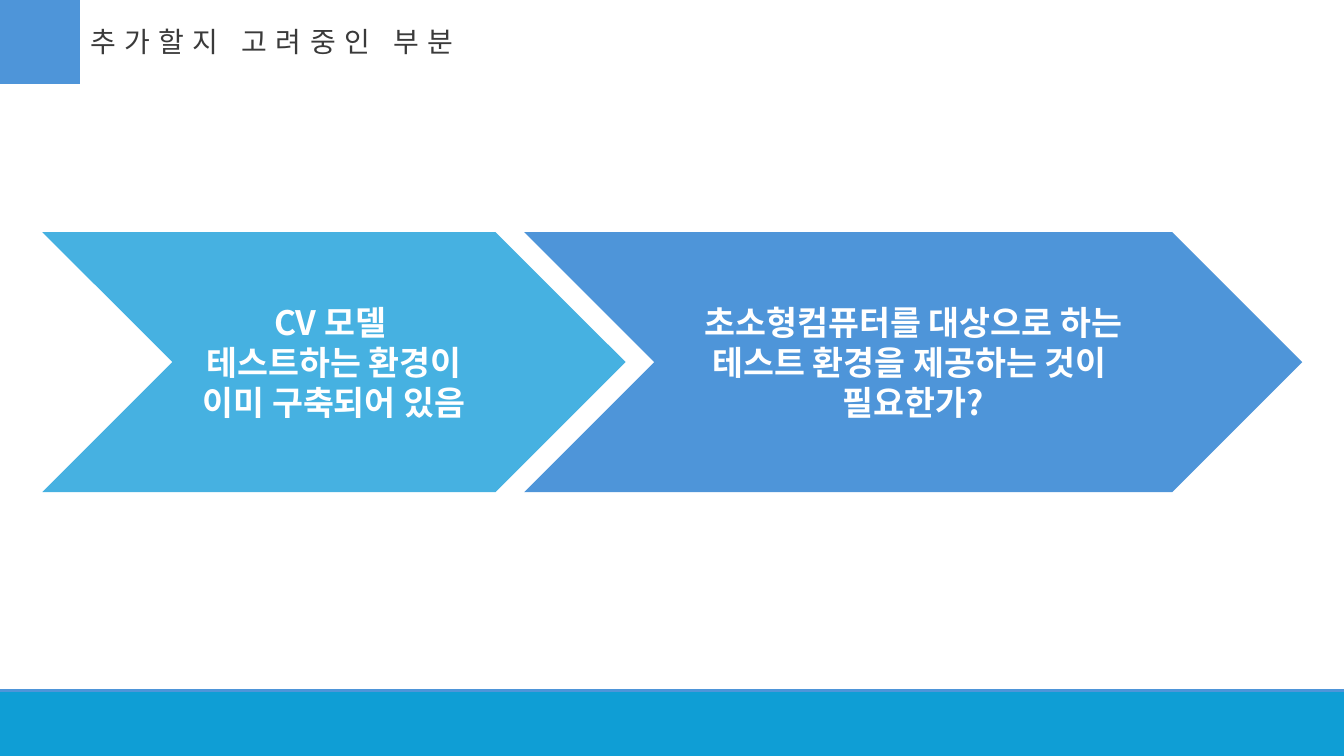
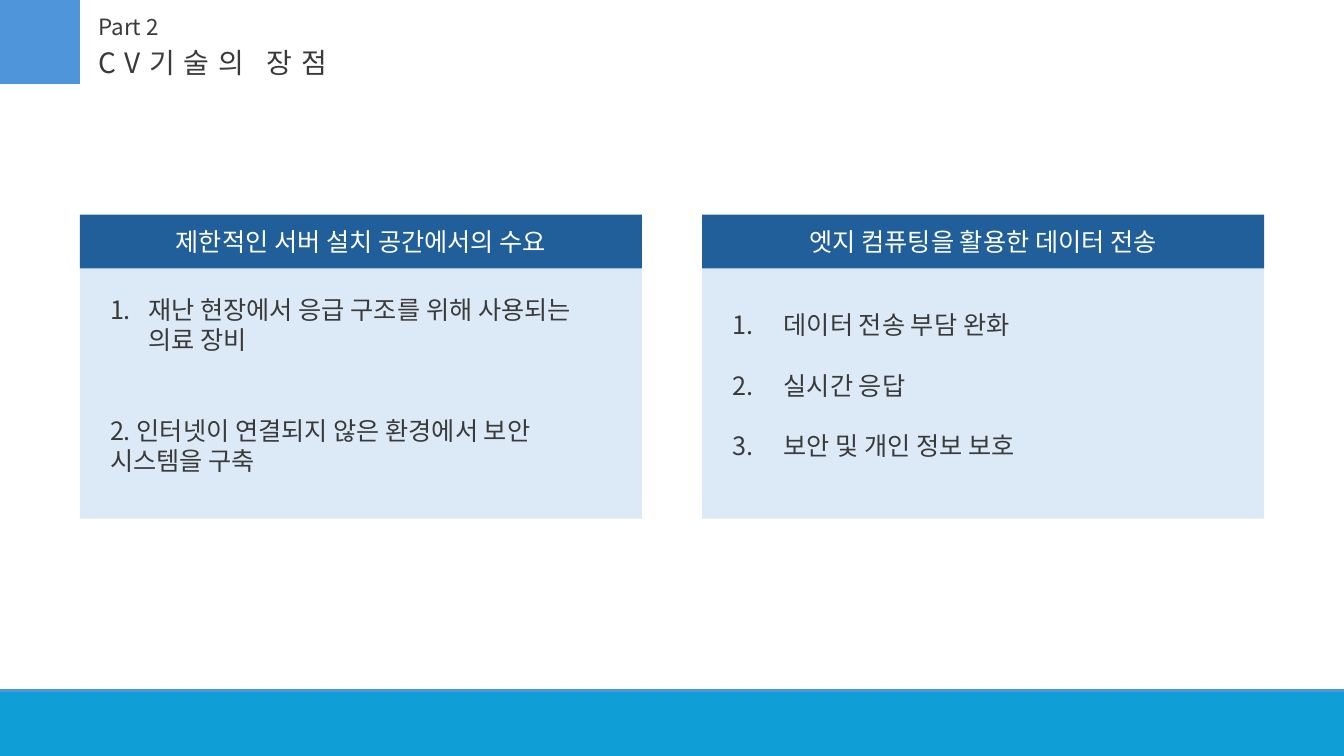
from dataclasses import dataclass
from typing import NamedTuple

from pptx import Presentation, util as u
from pptx.dml.color import RGBColor
from pptx.enum import shapes, text
from pptx.oxml.xmlchemy import OxmlElement

W, H = u.Inches(13.33), u.Inches(7.5)
FONT = "Noto Sans CJK KR"
LINE_HEIGHT = 1.2
INK, WHITE = "3A3A3A", "FFFFFF"
BLUE, SKY, NAVY, PALE, BAND = "4E95D9", "46B1E1", "215F9A", "DCEAF7", "0F9ED5"
RECT, CHEVRON = shapes.MSO_SHAPE.RECTANGLE, shapes.MSO_SHAPE.CHEVRON
LEFT, CENTER = text.PP_ALIGN.LEFT, text.PP_ALIGN.CENTER
TOP, MIDDLE = text.MSO_ANCHOR.TOP, text.MSO_ANCHOR.MIDDLE
TITLE_ONLY = 5


class Box(NamedTuple):
    """Place and size, in percent of the slide's width and height."""
    x: float
    y: float
    w: float
    h: float

    def emu(self) -> list[int]:
        return [round(v * full / 100) for v, full in zip(self, (W, H, W, H))]


@dataclass
class Style:
    size: float
    color: str = INK
    bold: bool = False
    align: text.PP_ALIGN = LEFT
    anchor: text.MSO_ANCHOR = TOP
    tracking: float = 0
    gap: float = 0  # points after each paragraph


@dataclass
class Arrow:
    box: Box
    fill: str
    lines: list[str]


@dataclass
class Card:
    heading: str
    items: list[str]
    numbered: int  # how many leading items are numbered automatically
    indent: float  # inches
    list_top: float
    gap: float


TITLE = Style(20, tracking=6)
PART = Style(16)
ARROW = Style(24, WHITE, bold=True, align=CENTER, anchor=MIDDLE)
HEADING = Style(18, WHITE, align=CENTER, anchor=MIDDLE)
ITEM_SIZE = 18
ITEM_LINE = ITEM_SIZE * LINE_HEIGHT

MARGIN, CARD_W = 5.95, 41.8
CARD_STEP = 100 - 2 * MARGIN - CARD_W
CARD_TOP, HEADING_H, BODY_H = 28.4, 7.1, 33.1
LIST_INSET = 1.5

ARROWS = [
    Arrow(Box(39, 30.7, 57.9, 34.4), BLUE,
          ["초소형컴퓨터를 대상으로 하는 테스트 환경을 제공하는 것이 ", "필요한가?"]),
    Arrow(Box(3.15, 30.7, 43.4, 34.4), SKY,
          ["CV 모델 ", "테스트하는 환경이 이미 구축되어 있음"]),
]
CARDS = [
    Card("제한적인 서버 설치 공간에서의 수요",
         ["재난 현장에서 응급 구조를 위해 사용되는 의료 장비",
          "2. 인터넷이 연결되지 않은 환경에서 보안 시스템을 구축"],
         numbered=1, indent=0.38, list_top=38.3, gap=2 * ITEM_LINE),
    Card("엣지 컴퓨팅을 활용한 데이터 전송",
         ["데이터 전송 부담 완화", "실시간 응답", "보안 및 개인 정보 보호"],
         numbered=3, indent=0.51, list_top=40.3, gap=ITEM_LINE),
]


def rgb(color: str) -> RGBColor:
    return RGBColor.from_string(color)


def write(sp, lines: list[str], style: Style) -> None:
    tf = sp.text_frame
    tf.word_wrap = True
    tf.auto_size = text.MSO_AUTO_SIZE.NONE
    tf.vertical_anchor = style.anchor
    for i, line in enumerate(lines):
        p = tf.paragraphs[0] if i == 0 else tf.add_paragraph()
        p.alignment = style.align
        p.line_spacing = u.Pt(style.size * LINE_HEIGHT)
        p.space_before = u.Pt(0)
        p.space_after = u.Pt(style.gap)
        r = p.add_run()
        r.text = line
        r.font.size, r.font.bold, r.font.name = u.Pt(style.size), style.bold, FONT
        r.font.color.rgb = rgb(style.color)
        rpr = r._r.get_or_add_rPr()
        if style.tracking:
            rpr.set("spc", str(round(style.tracking * 100)))
        ea = OxmlElement("a:ea")  # the Korean glyphs take this font
        ea.set("typeface", FONT)
        rpr.append(ea)


def number(p, indent: float) -> None:
    """Number a paragraph automatically, with a hanging indent in inches."""
    ppr = p._p.get_or_add_pPr()
    ppr.set("marL", str(u.Inches(indent)))
    ppr.set("indent", str(-u.Inches(indent)))
    bullet = OxmlElement("a:buAutoNum")
    bullet.set("type", "arabicPeriod")
    ppr.append(bullet)


def add_block(s, box: Box, fill: str, kind=RECT, line: str = ""):
    sp = s.shapes.add_shape(kind, *box.emu())
    sp.shadow.inherit = False
    sp.fill.solid()
    sp.fill.fore_color.rgb = rgb(fill)
    if line:
        sp.line.color.rgb = rgb(line)
        sp.line.width = u.Pt(2)
    else:
        sp.line.fill.background()
    return sp


def add_text(s, box: Box, lines: list[str], style: Style):
    sp = s.shapes.add_textbox(*box.emu())
    write(sp, lines, style)
    return sp


def add_slide(prs, title: str, title_box: Box):
    """Add a slide with the shared band, corner square and title."""
    s = prs.slides.add_slide(prs.slide_layouts[TITLE_ONLY])
    add_block(s, Box(-0.3, 91.3, 100.4, 8.9), BAND, line=BLUE)
    add_block(s, Box(0, 0, MARGIN, 11.1), BLUE)
    sp = s.shapes.title
    sp.left, sp.top, sp.width, sp.height = title_box.emu()
    write(sp, [title], TITLE)
    return s


def add_arrow(s, arrow: Arrow) -> None:
    write(add_block(s, arrow.box, arrow.fill, CHEVRON), arrow.lines, ARROW)


def add_card(s, card: Card, column: int) -> None:
    x = MARGIN + column * CARD_STEP
    add_block(s, Box(x, CARD_TOP + HEADING_H, CARD_W, BODY_H), PALE)
    heading = add_block(s, Box(x, CARD_TOP, CARD_W, HEADING_H), NAVY)
    write(heading, [card.heading], HEADING)
    list_box = Box(x + LIST_INSET, card.list_top, CARD_W - 2 * LIST_INSET, 25.6)
    sp = add_text(s, list_box, card.items, Style(ITEM_SIZE, gap=card.gap))
    for p in sp.text_frame.paragraphs[:card.numbered]:
        number(p, card.indent)


def main() -> None:
    prs = Presentation()
    prs.slide_width, prs.slide_height = W, H

    s = add_slide(prs, "추가할지 고려중인 부분", Box(MARGIN, 2.6, 31.6, 5.9))
    for arrow in ARROWS:
        add_arrow(s, arrow)

    s = add_slide(prs, "CV기술의 장점", Box(6.6, 5.3, 29, 5.9))
    add_text(s, Box(6.6, 1.1, 7, 4.9), ["Part 2"], PART)
    for column, card in enumerate(CARDS):
        add_card(s, card, column)

    prs.save("out.pptx")


if __name__ == "__main__":
    main()
